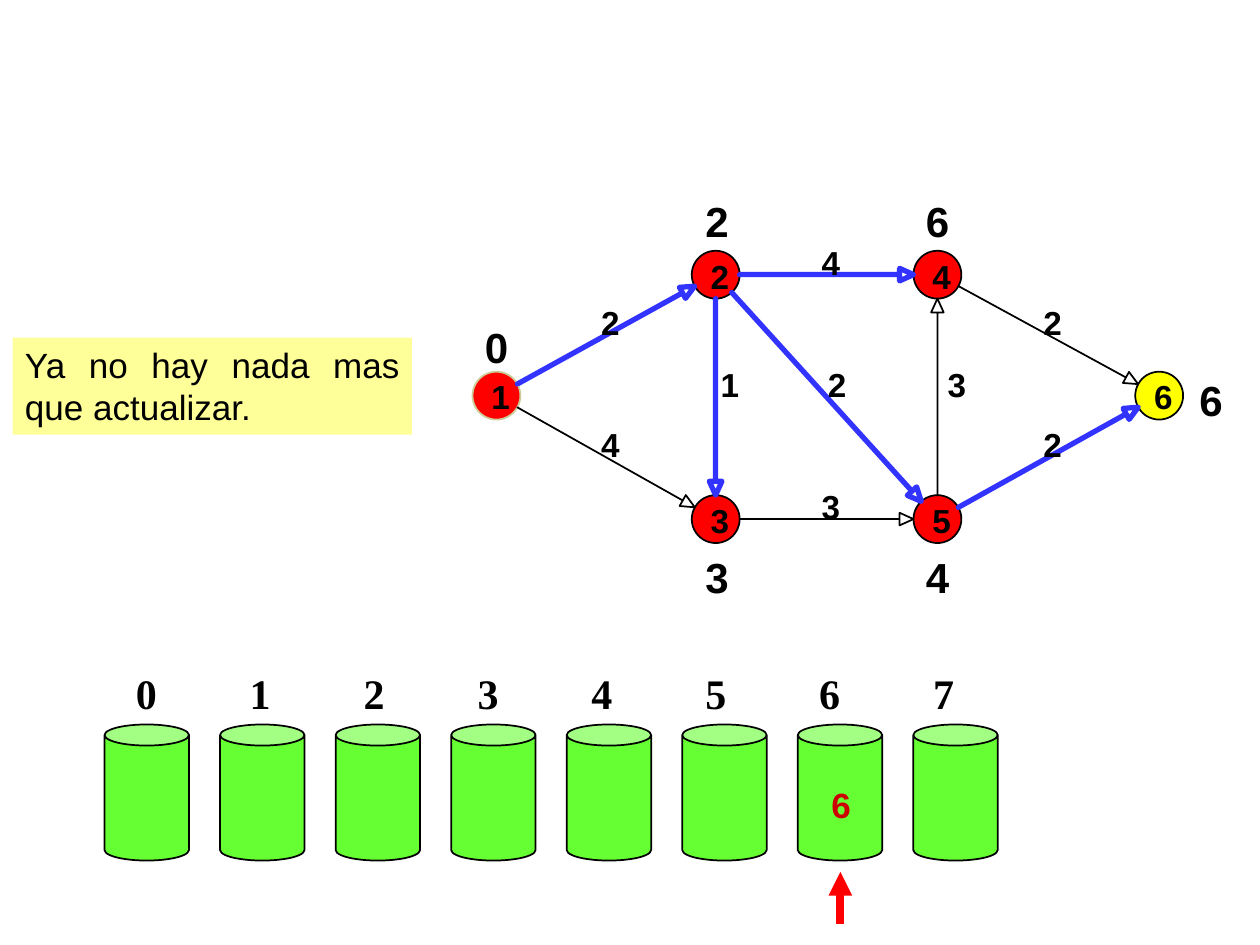
import math

import pptx
import pptx.dml.color
import pptx.enum.shapes
import pptx.enum.text
import pptx.oxml
import pptx.oxml.ns
import pptx.util
from pptx.util import Inches

RGBColor = pptx.dml.color.RGBColor
MSO_SHAPE = pptx.enum.shapes.MSO_SHAPE
BLACK = RGBColor(0x00, 0x00, 0x00)
RED = RGBColor(0xFF, 0x00, 0x00)
DARK_RED = RGBColor(0xCC, 0x00, 0x00)
YELLOW = RGBColor(0xFF, 0xFF, 0x00)
PALE_YELLOW = RGBColor(0xFF, 0xFF, 0x99)
GREEN = RGBColor(0x66, 0xFF, 0x33)
BLUE = RGBColor(0x33, 0x33, 0xFF)
TAN = RGBColor(0xCC, 0xCC, 0x99)

RADIUS = 0.19
HEAD_LENGTH, HEAD_HALF_WIDTH = 0.11, 0.05

presentation = pptx.Presentation()
presentation.slide_width = Inches(10)
presentation.slide_height = Inches(7.5)
slide = presentation.slides.add_slide(presentation.slide_layouts[6])
shapes = slide.shapes


def add_label(text, left, top, width, height, size, font="Arial", color=BLACK, tight=False):
    """Add a bold one-line text box; a tight one has no margins and no wrapping."""
    box = shapes.add_textbox(Inches(left), Inches(top), Inches(width), Inches(height))
    frame = box.text_frame
    frame.word_wrap = not tight
    if tight:
        frame.margin_left = frame.margin_right = frame.margin_top = frame.margin_bottom = 0
    run = frame.paragraphs[0].add_run()
    run.text = text
    run.font.name = font
    run.font.size = pptx.util.Pt(size)
    run.font.bold = True
    run.font.color.rgb = color


def add_preset(kind, left, top, width, height, fill, line=None):
    shape = shapes.add_shape(kind, Inches(left), Inches(top), Inches(width), Inches(height))
    shape.shadow.inherit = False
    shape.fill.solid()
    shape.fill.fore_color.rgb = fill
    if line is None:
        shape.line.fill.background()
    else:
        shape.line.color.rgb = line
        shape.line.width = pptx.util.Pt(1)
    return shape


# Graph nodes: centre, fill, outline, then distance and its position
nodes = {
    "1": (3.94, 3.14, RED, TAN, "0", 3.75, 2.5),
    "2": (5.68, 2.18, RED, BLACK, "2", 5.5, 1.5),
    "3": (5.68, 4.12, RED, BLACK, "3", 5.5, 4.33),
    "4": (7.44, 2.18, RED, BLACK, "6", 7.25, 1.5),
    "5": (7.44, 4.12, RED, BLACK, "4", 7.25, 4.33),
    "6": (9.2, 3.14, YELLOW, BLACK, "6", 9.42, 2.92),
}
for name, (x, y, fill, outline, distance, left, top) in nodes.items():
    add_preset(MSO_SHAPE.OVAL, x - RADIUS, y - RADIUS, 2 * RADIUS, 2 * RADIUS, fill, outline)
    add_label(name, x - 0.04, y - 0.15, 0.15, 0.32, 19, tight=True)
    add_label(distance, left, top, 0.5, 0.5, 24)

# Graph edges: start node, end node, weight, on a shortest path, label shift
edges = [
    ("1", "2", "2", True, -0.04),
    ("2", "4", "4", True, -0.04),
    ("2", "5", "2", True, 0.01),
    ("2", "3", "1", True, 0.04),
    ("3", "5", "3", False, -0.04),
    ("1", "3", "4", False, -0.04),
    ("4", "6", "2", False, -0.04),
    ("5", "4", "3", False, 0.08),
    ("5", "6", "2", True, -0.04),
]
for start, end, weight, chosen, shift in edges:
    start_x, start_y = nodes[start][:2]
    end_x, end_y = nodes[end][:2]
    length = math.hypot(end_x - start_x, end_y - start_y)
    across, down = (end_x - start_x) / length, (end_y - start_y) / length
    # Outline as (distance along the edge, offset to its side)
    neck = length - RADIUS - HEAD_LENGTH
    outline = [
        (RADIUS, 0),
        (neck, 0),
        (neck, HEAD_HALF_WIDTH),
        (length - RADIUS, 0),
        (neck, -HEAD_HALF_WIDTH),
        (neck, 0),
    ]
    points = [
        (Inches(start_x + along * across - side * down), Inches(start_y + along * down + side * across))
        for along, side in outline
    ]
    builder = shapes.build_freeform(*points[0])
    builder.add_line_segments(points[1:], close=True)
    arrow = builder.convert_to_shape()
    arrow.shadow.inherit = False
    arrow.fill.background()
    arrow.line.color.rgb = BLUE if chosen else BLACK
    arrow.line.width = pptx.util.Pt(3 if chosen else 1)
    middle_x, middle_y = (start_x + end_x) / 2, (start_y + end_y) / 2
    add_label(weight, middle_x + shift, middle_y - 0.26, 0.15, 0.32, 19, tight=True)

# Numbered buckets
for index in range(8):
    bucket = add_preset(MSO_SHAPE.CAN, 0.83 + index * 0.917, 5.75, 0.67, 1.08, GREEN, BLACK)
    bucket.adjustments[0] = 0.25
    add_label(str(index), 0.98 + index * 0.904, 5.25, 0.5, 0.5, 24, font="Times New Roman")
add_label("6", 6.5, 6.17, 0.33, 0.44, 20, color=DARK_RED)

# Pointer to the current bucket
pointer = shapes.add_connector(
    pptx.enum.shapes.MSO_CONNECTOR.STRAIGHT, Inches(6.67), Inches(7.33), Inches(6.67), Inches(6.92)
)
pointer.line.color.rgb = RED
pointer.line.width = pptx.util.Pt(4.5)
arrowhead = pptx.oxml.parse_xml(f'<a:tailEnd {pptx.oxml.ns.nsdecls("a")} type="triangle"/>')
pointer.line._get_or_add_ln().append(arrowhead)
pointer._element.spPr.append(pptx.oxml.parse_xml(f'<a:effectLst {pptx.oxml.ns.nsdecls("a")}/>'))

# Comment
note = add_preset(MSO_SHAPE.RECTANGLE, 0.1, 2.68, 3.17, 0.77, PALE_YELLOW)
note.text_frame.word_wrap = True
note.text_frame.vertical_anchor = pptx.enum.text.MSO_ANCHOR.TOP
paragraph = note.text_frame.paragraphs[0]
paragraph.alignment = pptx.enum.text.PP_ALIGN.JUSTIFY
run = paragraph.add_run()
run.text = "Ya no hay nada mas que actualizar."
run.font.name = "Arial"
run.font.size = pptx.util.Pt(20)
run.font.color.rgb = BLACK

presentation.save("out.pptx")
